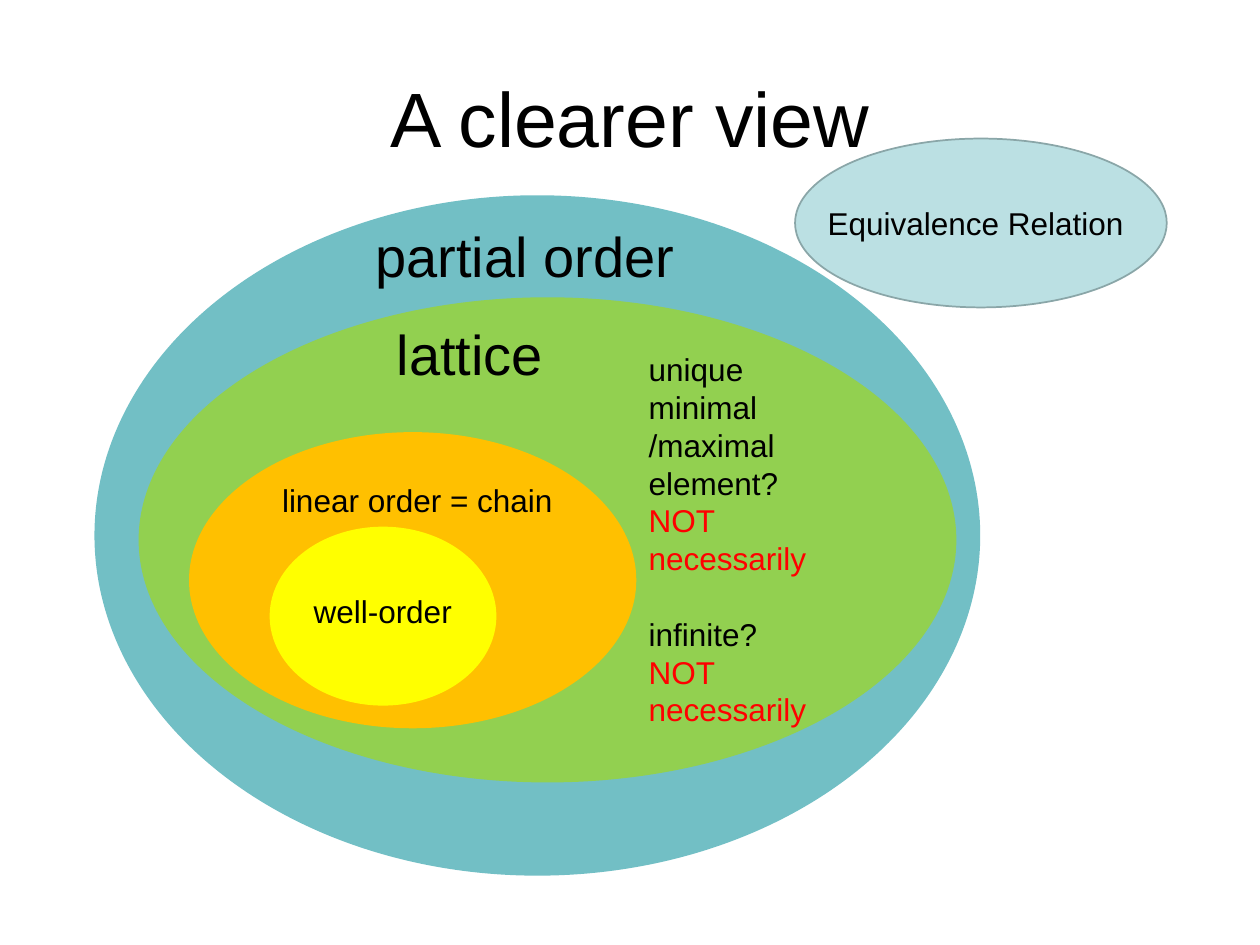
from dataclasses import dataclass

from pptx import Presentation
from pptx.dml.color import RGBColor
from pptx.enum.shapes import MSO_SHAPE
from pptx.enum.text import MSO_ANCHOR, PP_ALIGN
from pptx.util import Inches, Pt

ELLIPSE = MSO_SHAPE.OVAL
CENTER = PP_ALIGN.CENTER
MIDDLE = MSO_ANCHOR.MIDDLE

SLIDE_WIDTH, SLIDE_HEIGHT = Inches(10), Inches(7.5)
COLUMNS, ROWS = 100, 75
TITLE_ONLY = 5


@dataclass(frozen=True)
class Theme:
    font: str = "Arial"
    text: str = "000000"
    answer: str = "FF0000"
    partial_order: str = "72BFC5"
    lattice: str = "92D050"
    chain: str = "FFC000"
    well_order: str = "FFFF00"
    equivalence: str = "BBE0E3"
    equivalence_line: str = "8AA6A8"
    title_size: int = 44
    heading_size: int = 32
    label_size: int = 18
    line_pitch: float = 21.6


@dataclass(frozen=True)
class Box:
    column: float
    row: float
    columns: float
    rows: float

    def inner(self, column, row, columns, rows):
        return Box(self.column + column, self.row + row, columns, rows)

    def place(self):
        column_width, row_height = SLIDE_WIDTH / COLUMNS, SLIDE_HEIGHT / ROWS
        return (round(self.column * column_width), round(self.row * row_height),
                round(self.columns * column_width), round(self.rows * row_height))


THEME = Theme()


def format_paragraph(paragraph, size, color=THEME.text):
    for run in paragraph.runs:
        run.font.name = THEME.font
        run.font.size = Pt(size)
        run.font.color.rgb = RGBColor.from_string(color)


def add_ellipse(slide, box, fill, line=None):
    shape = slide.shapes.add_shape(ELLIPSE, *box.place())
    shape.shadow.inherit = False
    shape.fill.solid()
    shape.fill.fore_color.rgb = RGBColor.from_string(fill)
    if line:
        shape.line.color.rgb = RGBColor.from_string(line)
        shape.line.width = Pt(1)
    else:
        shape.line.fill.background()


def add_label(slide, box, text, size):
    text_frame = slide.shapes.add_textbox(*box.place()).text_frame
    text_frame.word_wrap = True
    text_frame.text = text
    for paragraph in text_frame.paragraphs:
        format_paragraph(paragraph, size)
    return text_frame


def add_title(slide, box):
    title = slide.shapes.title
    title.left, title.top, title.width, title.height = box.place()
    title.text_frame.text = "A clearer view"
    title.text_frame.vertical_anchor = MIDDLE
    paragraph = title.text_frame.paragraphs[0]
    paragraph.alignment = CENTER
    format_paragraph(paragraph, THEME.title_size)


def add_nested_orders(slide, box):
    orders = [
        ((0, 0, box.columns, box.rows), THEME.partial_order,
         "partial order", (21.3, 1.6, 29.9, 6.4), THEME.heading_size),
        ((3.5, 8.1, 64.9, 38.5), THEME.lattice,
         "lattice", (23, 9.4, 15.5, 6.4), THEME.heading_size),
        ((7.5, 18.8, 35.5, 23.5), THEME.chain,
         "linear order = chain", (13.9, 22.2, 23.6, 4), THEME.label_size),
        ((13.9, 26.3, 18, 14.2), THEME.well_order,
         "well-order", (16.4, 31, 15.5, 4), THEME.label_size),
    ]
    for ellipse, fill, name, label, size in orders:
        add_ellipse(slide, box.inner(*ellipse), fill)
        add_label(slide, box.inner(*label), name, size)
    add_questions(slide, box.inner(43, 11.8, 15.2, 31.3))


def add_questions(slide, box):
    lines = ["unique", "minimal", "/maximal", "element?", "NOT necessarily",
             "infinite?", "NOT", "necessarily"]
    text_frame = add_label(slide, box, "\n".join(lines), THEME.label_size)
    for paragraph in text_frame.paragraphs:
        paragraph.line_spacing = Pt(THEME.line_pitch)
        if paragraph.text.startswith(("NOT", "necessarily")):
            format_paragraph(paragraph, THEME.label_size, THEME.answer)
        elif paragraph.text == "infinite?":
            paragraph.space_before = Pt(THEME.line_pitch)


def add_equivalence(slide, box):
    add_ellipse(slide, box, THEME.equivalence, THEME.equivalence_line)
    add_label(slide, box.inner(1.6, 4.7, 26.2, 4), "Equivalence Relation", THEME.label_size)


def main():
    presentation = Presentation()
    presentation.slide_width, presentation.slide_height = SLIDE_WIDTH, SLIDE_HEIGHT
    slide = presentation.slides.add_slide(presentation.slide_layouts[TITLE_ONLY])
    add_title(slide, Box(5, 3, 90, 12.5))
    add_nested_orders(slide, Box(7.5, 15.5, 70.3, 54))
    add_equivalence(slide, Box(63.1, 11, 29.5, 13.4))
    presentation.save("out.pptx")


if __name__ == "__main__":
    main()
